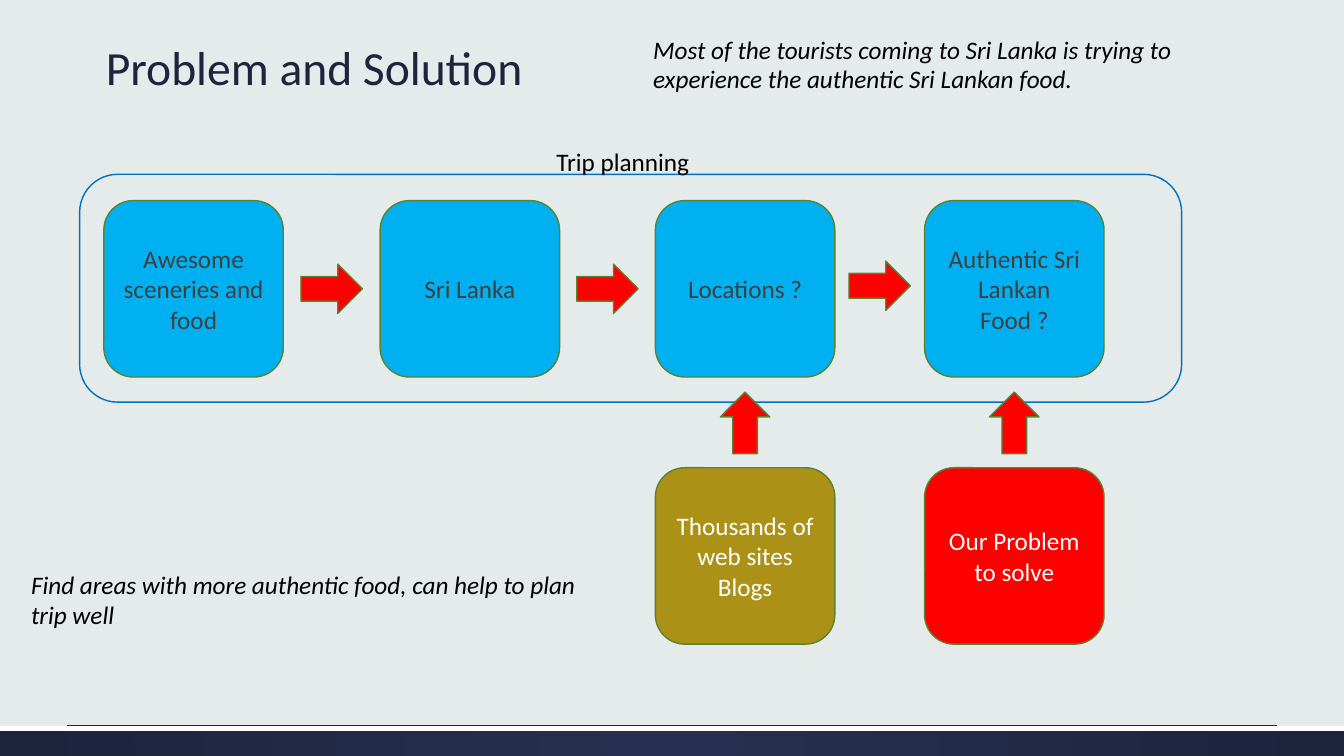
from dataclasses import dataclass

from lxml.etree import SubElement
from pptx import Presentation
from pptx.dml.color import RGBColor
from pptx.enum.shapes import MSO_CONNECTOR, MSO_SHAPE as Preset
from pptx.enum.text import MSO_ANCHOR as Anchor, MSO_AUTO_SIZE as AutoSize, PP_ALIGN as Align
from pptx.oxml.ns import qn
from pptx.util import Inches, Pt


@dataclass(frozen=True)
class Theme:
    font: str = "Calibri"
    title_size: int = 34
    text_size: int = 18
    line_spacing: int = 21
    space_before: float = 20.6
    background: str = "E5EAEA"
    navy: str = "1D243C"
    navy_light: str = "263050"
    black: str = "000000"
    white: str = "FFFFFF"
    step: str = "00B0F0"
    step_text: str = "404040"
    source: str = "AB9115"
    alert: str = "FF0000"
    outline: str = "588331"
    frame: str = "0070C0"


# Grid of the flow: left edges of columns, top edges of rows, in inches
COLUMNS = (1.03, 3.77, 6.5, 9.17)
ROWS = (1.99, 4.64)
CARD_WIDTH, CARD_HEIGHT = 1.78, 1.75
ARROW_WIDTH, ARROW_HEIGHT = 0.61, 0.49
WIDTH, HEIGHT = 13.33, 7.5
FOOTER_TOP = 0.96 * HEIGHT


def rgb(code):
    return RGBColor.from_string(code)


class SlideBuilder:
    def __init__(self, deck, theme):
        self.theme = theme
        self.slide = deck.slides.add_slide(deck.slide_layouts[5])
        background = self.slide.background.fill
        background.solid()
        background.fore_color.rgb = rgb(theme.background)

    def style(self, paragraph, size, color, italic=False):
        font = paragraph.font
        font.name, font.size, font.italic = self.theme.font, Pt(size), italic
        font.color.rgb = rgb(color)

    def title(self, text, *box):
        title = self.slide.shapes.title
        title.left, title.top, title.width, title.height = map(Inches, box)
        frame = title.text_frame
        frame.text = text
        frame.auto_size, frame.vertical_anchor = AutoSize.NONE, Anchor.BOTTOM
        heading = frame.paragraphs[0]
        heading.alignment, heading.line_spacing = Align.LEFT, 0.9
        self.style(heading, self.theme.title_size, self.theme.navy)

    def note(self, text, *box, italic=True):
        frame = self.slide.shapes.add_textbox(*map(Inches, box)).text_frame
        frame.word_wrap = True
        frame.auto_size = AutoSize.SHAPE_TO_FIT_TEXT
        frame.text = text
        sentence = frame.paragraphs[0]
        sentence.line_spacing = Pt(self.theme.line_spacing)
        sentence.space_before = Pt(self.theme.space_before)
        self.style(sentence, self.theme.text_size, self.theme.black, italic)

    def shape(self, preset, *box, fill=None, line=None):
        shape = self.slide.shapes.add_shape(preset, *map(Inches, box))
        shape.shadow.inherit = False
        if fill:
            shape.fill.solid()
            shape.fill.fore_color.rgb = rgb(fill)
        else:
            shape.fill.background()
        if line:
            shape.line.color.rgb = rgb(line)
            shape.line.width = Pt(1)
        else:
            shape.line.fill.background()
        return shape

    def card(self, text, column, row, fill, color):
        card = self.shape(Preset.ROUNDED_RECTANGLE, COLUMNS[column], ROWS[row],
                          CARD_WIDTH, CARD_HEIGHT, fill=fill, line=self.theme.outline)
        frame = card.text_frame
        frame.text, frame.word_wrap = text, True
        frame.vertical_anchor = Anchor.MIDDLE
        label = frame.paragraphs[0]
        label.alignment = Align.CENTER
        self.style(label, self.theme.text_size, color)

    def arrow(self, left, top, rotation=0):
        arrow = self.shape(Preset.RIGHT_ARROW, left, top, ARROW_WIDTH, ARROW_HEIGHT,
                           fill=self.theme.alert, line=self.theme.outline)
        arrow.rotation = rotation

    def footer(self):
        band = self.shape(Preset.RECTANGLE, 0, FOOTER_TOP, WIDTH, HEIGHT - FOOTER_TOP)
        band.fill.gradient()
        for stop, color in zip(band.fill.gradient_stops,
                               (self.theme.navy_light, self.theme.navy)):
            stop.color.rgb = rgb(color)
        # Radial gradient from the centre of the band
        gradient = band._element.spPr.find(qn("a:gradFill"))
        gradient.remove(gradient.find(qn("a:lin")))
        radial = SubElement(gradient, qn("a:path"), {"path": "circle"})
        SubElement(radial, qn("a:fillToRect"), dict.fromkeys("ltrb", "50000"))

        self.shape(Preset.RECTANGLE, 0, FOOTER_TOP, WIDTH, 0.05, fill=self.theme.white)
        margin = 0.05 * WIDTH
        rule = self.slide.shapes.add_connector(
            MSO_CONNECTOR.STRAIGHT, *map(Inches, (margin, FOOTER_TOP, WIDTH - margin, FOOTER_TOP)))
        rule.line.color.rgb = rgb(self.theme.navy)
        rule.line.width = Pt(0.75)
        SubElement(rule._element.spPr, qn("a:effectLst"))


def main():
    deck = Presentation()
    deck.slide_width, deck.slide_height = Inches(WIDTH), Inches(HEIGHT)
    theme = Theme()
    page = SlideBuilder(deck, theme)

    # Footer, title and remarks
    page.footer()
    page.title("Problem and Solution", 0.95, 0.28, 10.4, 0.72)
    page.note("Most of the tourists coming to Sri Lanka is trying to experience "
              "the authentic Sri Lankan food.", 6.38, 0.3, 5.34, 0.69)
    page.note("Find areas with more authentic food, can help to plan trip well",
              0.21, 5.61, 5.94, 0.69)

    # Trip planning frame
    page.shape(Preset.ROUNDED_RECTANGLE, 0.79, 1.73, 10.93, 2.26, line=theme.frame)
    page.note("Trip planning", 5.42, 1.41, 2.11, 0.4, italic=False)

    # Planning steps
    steps = ("Awesome sceneries and food", "Sri Lanka", "Locations ?",
             "Authentic Sri Lankan Food ?")
    for column, step in enumerate(steps):
        page.card(step, column, 0, theme.step, theme.step_text)

    # Inputs below the last two steps, each pointing up
    inputs = (("Thousands of web sites Blogs", 2, theme.source),
              ("Our Problem to solve", 3, theme.alert))
    for text, column, fill in inputs:
        page.card(text, column, 1, fill, theme.white)
        page.arrow(COLUMNS[column] + (CARD_WIDTH - ARROW_WIDTH) / 2, 3.95, rotation=270)

    # Arrows between steps
    for column, top in enumerate((2.62, 2.62, 2.59)):
        gap_middle = (COLUMNS[column] + CARD_WIDTH + COLUMNS[column + 1]) / 2
        page.arrow(gap_middle - ARROW_WIDTH / 2, top)

    deck.save("out.pptx")


if __name__ == "__main__":
    main()
